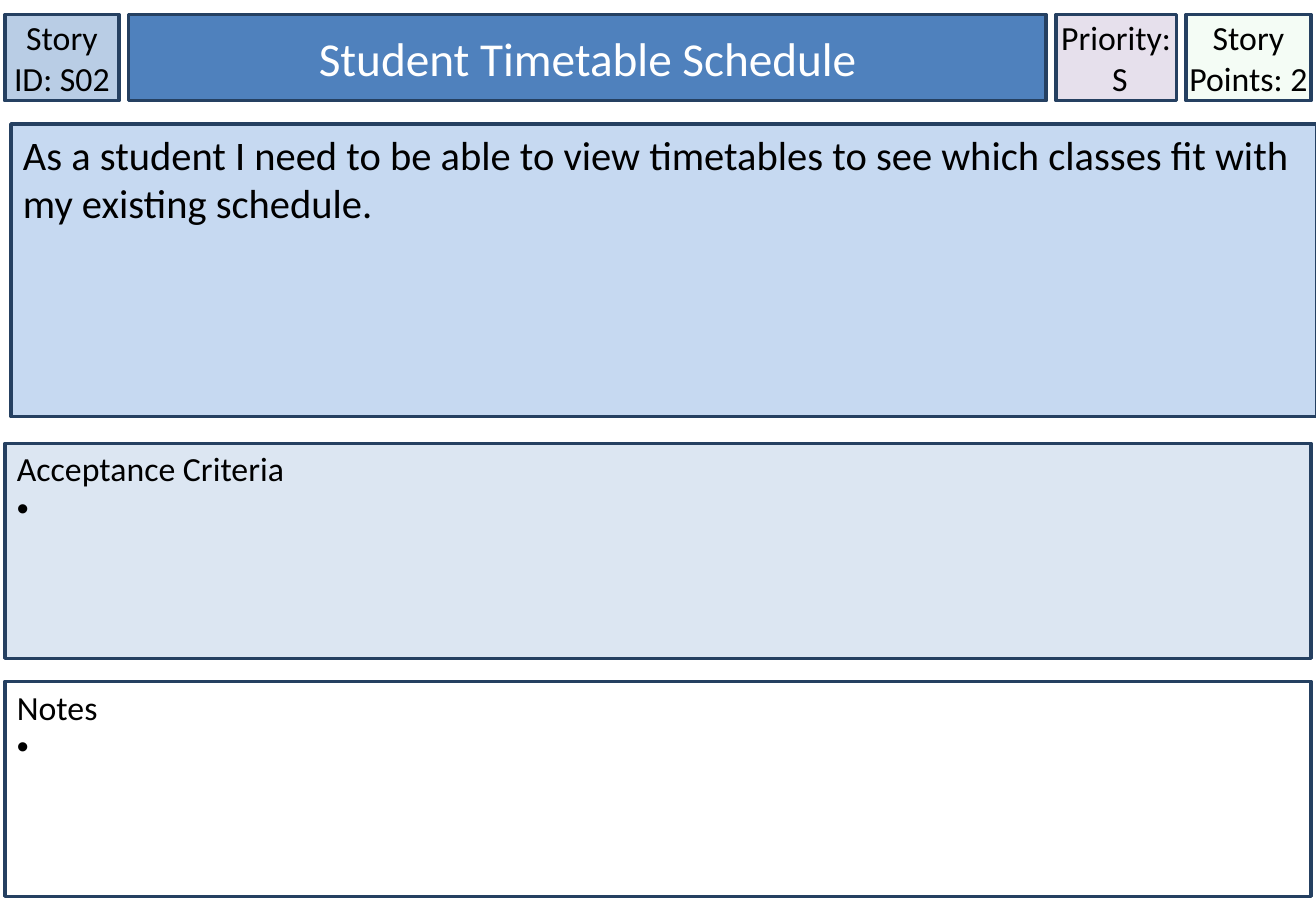
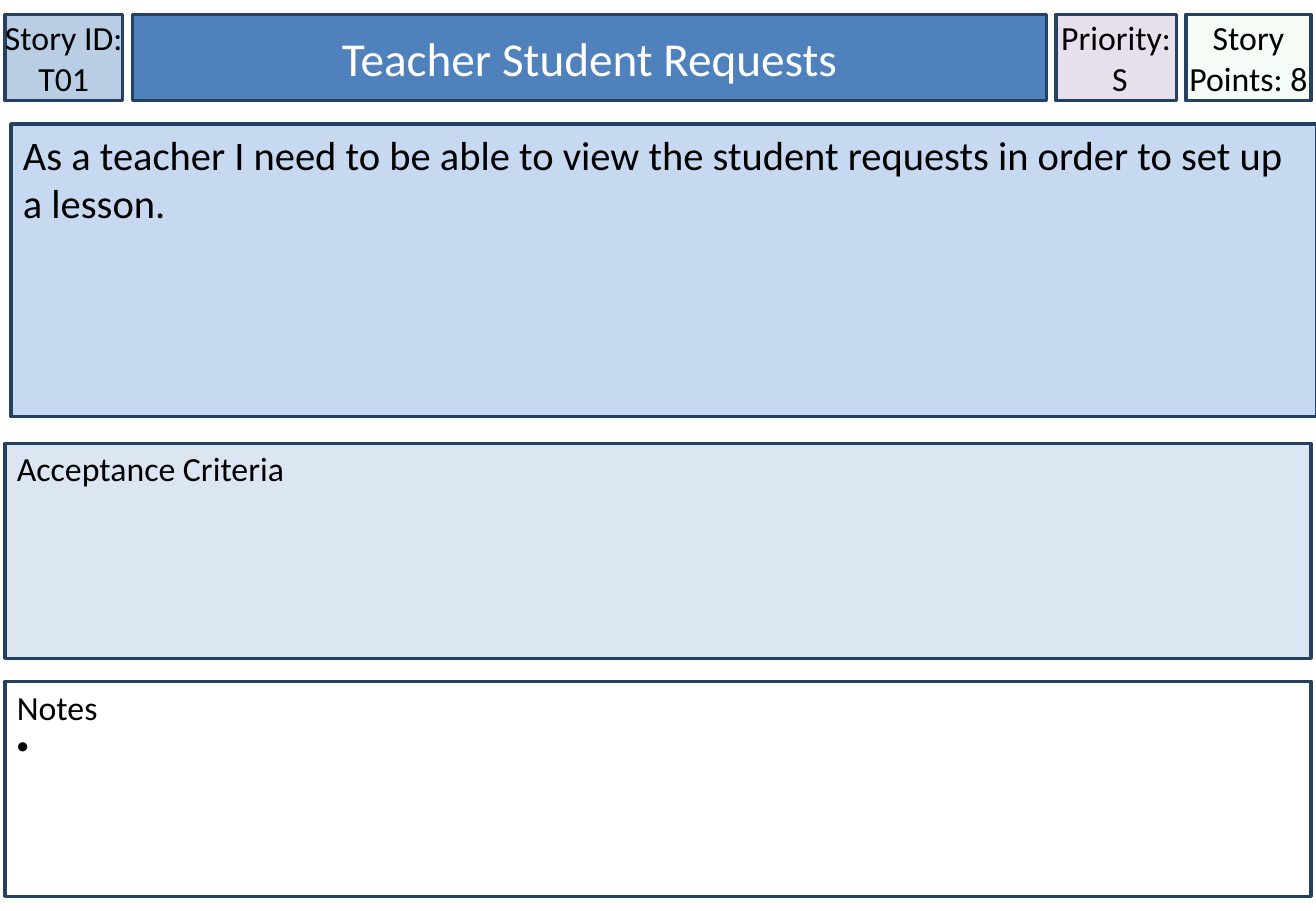
import pptx
import pptx.util
import pptx.dml.color
import pptx.enum.shapes
import pptx.enum.text
import lxml.etree
from dataclasses import dataclass

PX = 9144  # EMU in one px, 100 px to the inch
WIDE, HIGH = 1083, 750
CARD = (4, 12, 1075, 726)
GAP = 8
HEAD = 71  # height of the top row
ALIGN = pptx.enum.text.PP_ALIGN
ANCHOR = pptx.enum.text.MSO_ANCHOR


@dataclass(frozen=True)
class Theme:
    font: str = "Calibri"
    ink: str = "000000"
    white: str = "FFFFFF"
    edge: str = "254061"
    title: str = "4F81BD"
    tag: str = "B9CDE5"
    rank: str = "E6E0EC"
    points: str = "CCF0CD"
    story: str = "C6D9F1"
    tests: str = "DCE6F2"
    big: int = 28
    mid: int = 24
    small: int = 20
    rule: int = 2


THEME = Theme()


def tone(code):
    return pptx.dml.color.RGBColor.from_string(code)


def panel(slide, box, fill, lines, size=THEME.small, ink=THEME.ink,
          pads=(10, 5, 10, 5), center=False):
    """Outlined box with one paragraph for each line."""
    shape = slide.shapes.add_shape(
        pptx.enum.shapes.MSO_SHAPE.RECTANGLE, *(n * PX for n in box))
    shape.shadow.inherit = False
    shape.fill.solid()
    shape.fill.fore_color.rgb = tone(fill)
    shape.line.color.rgb = tone(THEME.edge)
    shape.line.width = pptx.util.Pt(THEME.rule)
    frame = shape.text_frame
    frame.word_wrap = True
    frame.vertical_anchor = ANCHOR.MIDDLE if center else ANCHOR.TOP
    (frame.margin_left, frame.margin_top,
     frame.margin_right, frame.margin_bottom) = (n * PX for n in pads)
    frame.text = "\n".join(lines)
    for para in frame.paragraphs:
        para.alignment = ALIGN.CENTER if center else ALIGN.LEFT
        for run in para.runs:
            run.font.name = THEME.font
            run.font.size = pptx.util.Pt(size)
            run.font.color.rgb = tone(ink)
    return shape


def clear(shape, share):
    """Set the opacity of a solid fill, in percent."""
    color = shape.fill._xPr.find(".//" + pptx.oxml.ns.qn("a:srgbClr"))
    lxml.etree.SubElement(color, pptx.oxml.ns.qn("a:alpha"), val=str(share * 1000))


def bullet(para):
    props = para._p.get_or_add_pPr()
    props.set("marL", str(20 * PX))
    props.set("indent", str(-20 * PX))
    lxml.etree.SubElement(props, pptx.oxml.ns.qn("a:buFont"), typeface="Arial")
    lxml.etree.SubElement(props, pptx.oxml.ns.qn("a:buChar"), char="•")


def header(slide, box, name, title, rank, points, tag):
    """Row of ID, title, priority and points; the title takes what is left."""
    left, top, width, height = box
    sizes = [tag, 0, 99, 103]
    sizes[1] = width - sum(sizes) - GAP * 3
    cells = []
    for size in sizes:
        cells.append((left, top, size, height))
        left += size + GAP
    tight = dict(pads=(0, 5, 0, 5), center=True)
    panel(slide, cells[0], THEME.tag, ["Story ID: " + name], **tight)
    panel(slide, cells[1], THEME.title, [title], THEME.big, THEME.white, center=True)
    level = panel(slide, cells[2], THEME.rank, ["Priority:", " " + rank], **tight)
    level.text_frame.word_wrap = False
    score = panel(slide, cells[3], THEME.points, [f"Story Points: {points}"], **tight)
    clear(score, 20)


def section(slide, box, fill, label, listed):
    """Labelled box, with an open bullet when it is listed."""
    lines = [label, " "] if listed else [label]
    shape = panel(slide, box, fill, lines, pads=(10, 4, 10, 5))
    for para in shape.text_frame.paragraphs[1:]:
        bullet(para)


def card(slide, box, name, title, rank, points, story, tag, listed):
    left, top, width, height = box
    header(slide, (left, top, width, HEAD), name, title, rank, points, tag)
    panel(slide, (left + 5, top + 90, width, 241), THEME.story, [story], THEME.mid)
    # Two equal sections fill the foot of the card
    deep, step = 177, 196
    first = top + height - deep - step
    parts = ((THEME.tests, "Acceptance Criteria", listed),
             (THEME.white, "Notes", True))
    for i, part in enumerate(parts):
        section(slide, (left, first + i * step, width, deep), *part)


CARDS = (
    dict(name="S02", title="Student Timetable Schedule", rank="S", points=2,
         story="As a student I need to be able to view timetables to see "
               "which classes fit with my existing schedule.",
         tag=94, listed=True),
    dict(name="T01", title="Teacher Student Requests", rank="S", points=8,
         story="As a teacher I need to be able to view the student requests "
               "in order to set up a lesson.",
         tag=97, listed=False),
)


def main():
    deck = pptx.Presentation()
    deck.slide_width, deck.slide_height = WIDE * PX, HIGH * PX
    for item in CARDS:
        card(deck.slides.add_slide(deck.slide_layouts[6]), CARD, **item)
    deck.save("out.pptx")


if __name__ == "__main__":
    main()
